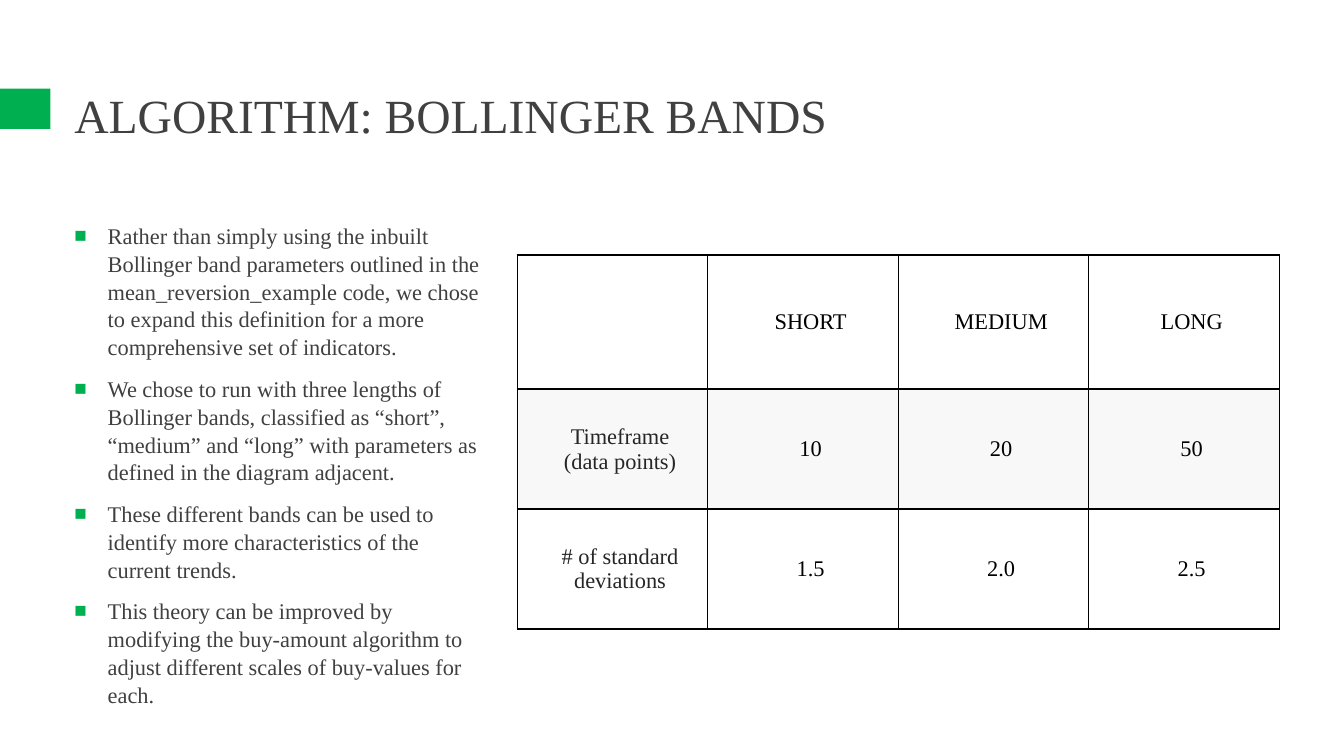
from lxml.etree import SubElement
from pptx import Presentation
from pptx.dml.color import RGBColor
from pptx.enum.shapes import MSO_SHAPE as Shape
from pptx.enum.text import MSO_ANCHOR as Anchor, PP_ALIGN as Align
from pptx.oxml import parse_xml
from pptx.oxml.ns import nsdecls, qn
from pptx.util import Inches, Pt

COLORS = {
    "accent": "00B050",
    "body": "404040",
    "label": "262626",
    "ink": "000000",
    "band": "F8F8F8",
}
FONT = "Times New Roman"
MARGIN = 0.64
BULLETS = [
    "Rather than simply using the inbuilt Bollinger band parameters outlined in the "
    "mean_reversion_example code, we chose to expand this definition for a more "
    "comprehensive set of indicators.",
    "We chose to run with three lengths of Bollinger bands, classified as “short”, "
    "“medium” and “long” with parameters as defined in the diagram adjacent.",
    "These different bands can be used to identify more characteristics of the "
    "current trends.",
    "This theory can be improved by modifying the buy-amount algorithm to adjust "
    "different scales of buy-values for each.",
]
BAND_PARAMETERS = [
    ["", "SHORT", "MEDIUM", "LONG"],
    ["Timeframe (data points)", "10", "20", "50"],
    ["# of standard deviations", "1.5", "2.0", "2.5"],
]
COLUMN_WIDTH = 1.89
ROW_HEIGHTS = [1.33, 1.19, 1.19]


def set_font(paragraph, size, color):
    paragraph.font.name = FONT
    paragraph.font.size = Pt(size)
    paragraph.font.color.rgb = RGBColor.from_string(COLORS[color])


def add_text_frame(slide, *box):
    """Add a wrapping text box, given in inches, and return its text frame."""
    frame = slide.shapes.add_textbox(*map(Inches, box)).text_frame
    frame.word_wrap = True
    return frame


presentation = Presentation()
presentation.slide_width = Inches(13.33)
presentation.slide_height = Inches(7.5)
slide = presentation.slides.add_slide(presentation.slide_layouts[6])

# Accent block and title
accent = slide.shapes.add_shape(Shape.RECTANGLE, 0, Inches(0.88), Inches(0.5), Inches(0.4))
accent.shadow.inherit = False
accent.fill.solid()
accent.fill.fore_color.rgb = RGBColor.from_string(COLORS["accent"])
accent.line.fill.background()

title_frame = add_text_frame(slide, MARGIN, 0.77, 12.06, 0.81)
title_frame.vertical_anchor = Anchor.MIDDLE
title = title_frame.paragraphs[0]
title.text = "ALGORITHM: BOLLINGER BANDS"
title.line_spacing = 0.9
set_font(title, 34, "body")

# Bulleted explanation
body_frame = add_text_frame(slide, MARGIN, 2.14, 4.22, 4.89)
for index, text in enumerate(BULLETS):
    paragraph = body_frame.add_paragraph() if index else body_frame.paragraphs[0]
    paragraph.text = text
    paragraph.line_spacing = 1.04
    paragraph.space_before = Pt(3.5) if index else Pt(0)
    paragraph.space_after = Pt(6)
    set_font(paragraph, 16, "body")
    properties = paragraph._p.get_or_add_pPr()
    properties.set("marL", str(Inches(0.33)))
    properties.set("indent", str(-Inches(0.33)))
    bullet_color = SubElement(properties, qn("a:buClr"))
    SubElement(bullet_color, qn("a:srgbClr"), val=COLORS["accent"])
    SubElement(properties, qn("a:buSzPct"), val="92000")
    SubElement(properties, qn("a:buFont"), typeface=FONT)
    SubElement(properties, qn("a:buChar"), char="■")
    # The schema wants the default run properties after the bullet
    properties.append(properties.find(qn("a:defRPr")))

# Table of band parameters
column_count = len(BAND_PARAMETERS[0])
table = slide.shapes.add_table(
    len(BAND_PARAMETERS), column_count, Inches(5.13), Inches(2.53),
    Inches(COLUMN_WIDTH * column_count), Inches(sum(ROW_HEIGHTS)),
).table
for column in table.columns:
    column.width = Inches(COLUMN_WIDTH)

for row_index, (height, values) in enumerate(zip(ROW_HEIGHTS, BAND_PARAMETERS)):
    table.rows[row_index].height = Inches(height)
    for column_index, value in enumerate(values):
        cell = table.cell(row_index, column_index)
        cell.vertical_anchor = Anchor.MIDDLE
        cell.margin_left = Inches(0.37)
        cell.margin_right = cell.margin_top = cell.margin_bottom = Inches(0.22)
        paragraph = cell.text_frame.paragraphs[0]
        paragraph.text = value
        paragraph.alignment = Align.CENTER
        set_font(paragraph, 16, "ink" if column_index else "label")
        if row_index == 1:
            cell.fill.solid()
            cell.fill.fore_color.rgb = RGBColor.from_string(COLORS["band"])
        else:
            cell.fill.background()
        cell_properties = cell._tc.get_or_add_tcPr()
        for position, side in enumerate(["lnL", "lnR", "lnT", "lnB"]):
            border = parse_xml(
                f'<a:{side} {nsdecls("a")} w="{Pt(1)}"><a:solidFill>'
                f'<a:srgbClr val="{COLORS["ink"]}"/></a:solidFill></a:{side}>'
            )
            cell_properties.insert(position, border)

presentation.save("out.pptx")
